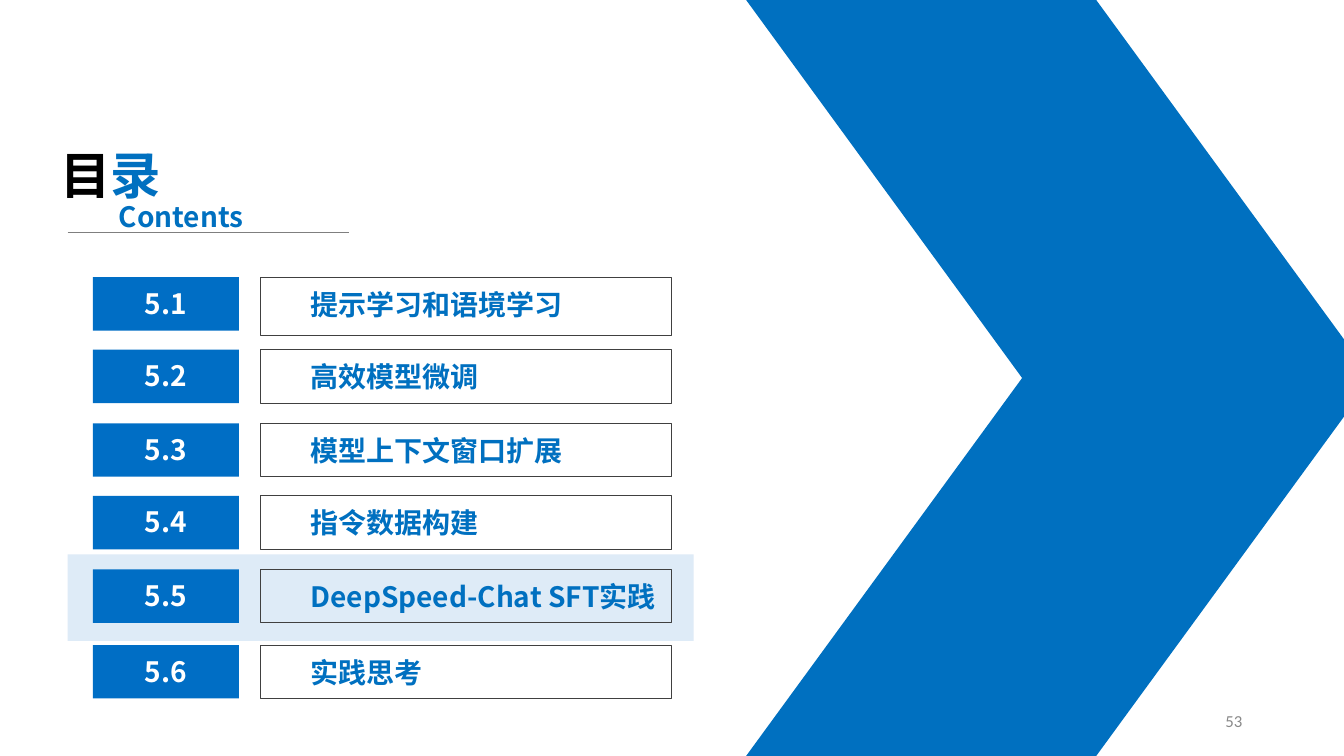
"""Build a contents slide with six numbered sections and a large chevron."""
import pptx
import pptx.dml.color
import pptx.enum.shapes
import pptx.enum.text
import pptx.oxml.ns
import pptx.util
from lxml import etree

PX = 9144
RGBColor = pptx.dml.color.RGBColor
BLUE = RGBColor(0x00, 0x70, 0xC0)
TAG_BLUE = RGBColor(0x00, 0x6E, 0xC5)
PALE_BLUE = RGBColor(0xDE, 0xEB, 0xF7)
BLACK = RGBColor(0x00, 0x00, 0x00)
WHITE = RGBColor(0xFF, 0xFF, 0xFF)
OUTLINE = RGBColor(0x40, 0x40, 0x40)
RULE_GRAY = RGBColor(0x7F, 0x7F, 0x7F)
NUMBER_GRAY = RGBColor(0x89, 0x89, 0x89)
FONT = "Noto Sans CJK SC"
SHAPE = pptx.enum.shapes.MSO_SHAPE
ALIGN = pptx.enum.text.PP_ALIGN
ANCHOR = pptx.enum.text.MSO_ANCHOR

SECTIONS = [
    ("5.1", "提示学习和语境学习", 275, 58),
    ("5.2", "高效模型微调", 347, 53),
    ("5.3", "模型上下文窗口扩展", 420, 53),
    ("5.4", "指令数据构建", 492, 53),
    ("5.5", "DeepSpeed-Chat SFT实践", 565, 53),
    ("5.6", "实践思考", 640, 53),
]


def scaled(*lengths):
    """Turn px lengths into EMU."""
    return [length * PX for length in lengths]


def add_block(page, kind, place, fill=None, line=None):
    """Add a preset shape with a plain fill or a thin outline."""
    block = page.shapes.add_shape(kind, *scaled(*place))
    block.shadow.inherit = False
    if fill is None:
        block.fill.background()
    else:
        block.fill.solid()
        block.fill.fore_color.rgb = fill
    if line is None:
        block.line.fill.background()
    else:
        block.line.color.rgb = line
        block.line.width = pptx.util.Pt(0.75)
    return block


def add_text(page, place, spans, size=20, align=ALIGN.LEFT, font=FONT, bold=True,
             anchor=ANCHOR.TOP):
    """Add a text box holding one paragraph of (text, colour) spans."""
    box = page.shapes.add_textbox(*scaled(*place))
    box.text_frame.word_wrap = True
    box.text_frame.vertical_anchor = anchor
    para = box.text_frame.paragraphs[0]
    para.alignment = align
    for text, color in spans:
        span = para.add_run()
        span.text = text
        span.font.size = pptx.util.Pt(size)
        span.font.bold = bold
        span.font.color.rgb = color
        span.font.name = font
        properties = span.font._element
        etree.SubElement(properties, pptx.oxml.ns.qn("a:ea"), typeface=font)


def add_rule(page, left, right, top):
    """Add a thin horizontal line."""
    rule = page.shapes.add_connector(
        pptx.enum.shapes.MSO_CONNECTOR.STRAIGHT, *scaled(left, top, right, top))
    rule.line.color.rgb = RULE_GRAY
    rule.line.width = pptx.util.Pt(0.5)
    etree.SubElement(rule.element.spPr, pptx.oxml.ns.qn("a:effectLst"))


def add_chevron(page):
    """Add the two mirrored halves of the chevron."""
    for top, flipped in ((375, False), (0, True)):
        half = add_block(page, SHAPE.PARALLELOGRAM, (740, top, 621, 375), BLUE)
        half.adjustments[0] = 0.73
        if flipped:
            half.element.spPr.xfrm.set("flipV", "1")


def add_heading(page):
    """Add the two-language heading and the line below it."""
    add_text(page, (50, 138, 157, 71), [("目", BLACK), ("录", BLUE)], size=36)
    add_rule(page, 67, 346, 231)
    add_text(page, (108, 193, 157, 44), [("Contents", BLUE)])


def add_section(page, number, title, top, height):
    """Add one section row: outlined title and filled number tag."""
    add_block(page, SHAPE.RECTANGLE, (258, top, 408, height), line=OUTLINE)
    add_text(page, (298, top + 5, 408, 44), [(title, BLUE)])
    add_block(page, SHAPE.RECTANGLE, (92, top, 145, 53), TAG_BLUE)
    add_text(page, (112, top + 4, 105, 44), [(number, WHITE)], align=ALIGN.CENTER)


def main():
    """Build and save the deck."""
    deck = pptx.Presentation()
    deck.slide_width, deck.slide_height = scaled(1333, 750)
    page = deck.slides.add_slide(deck.slide_layouts[6])
    add_block(page, SHAPE.RECTANGLE, (67, 550, 621, 86), PALE_BLUE)
    add_chevron(page)
    add_heading(page)
    for section in SECTIONS:
        add_section(page, *section)
    add_text(page, (942, 695, 300, 40), [("53", NUMBER_GRAY)], size=12,
             align=ALIGN.RIGHT, font="Calibri", bold=False, anchor=ANCHOR.MIDDLE)
    deck.save("out.pptx")


if __name__ == "__main__":
    main()
